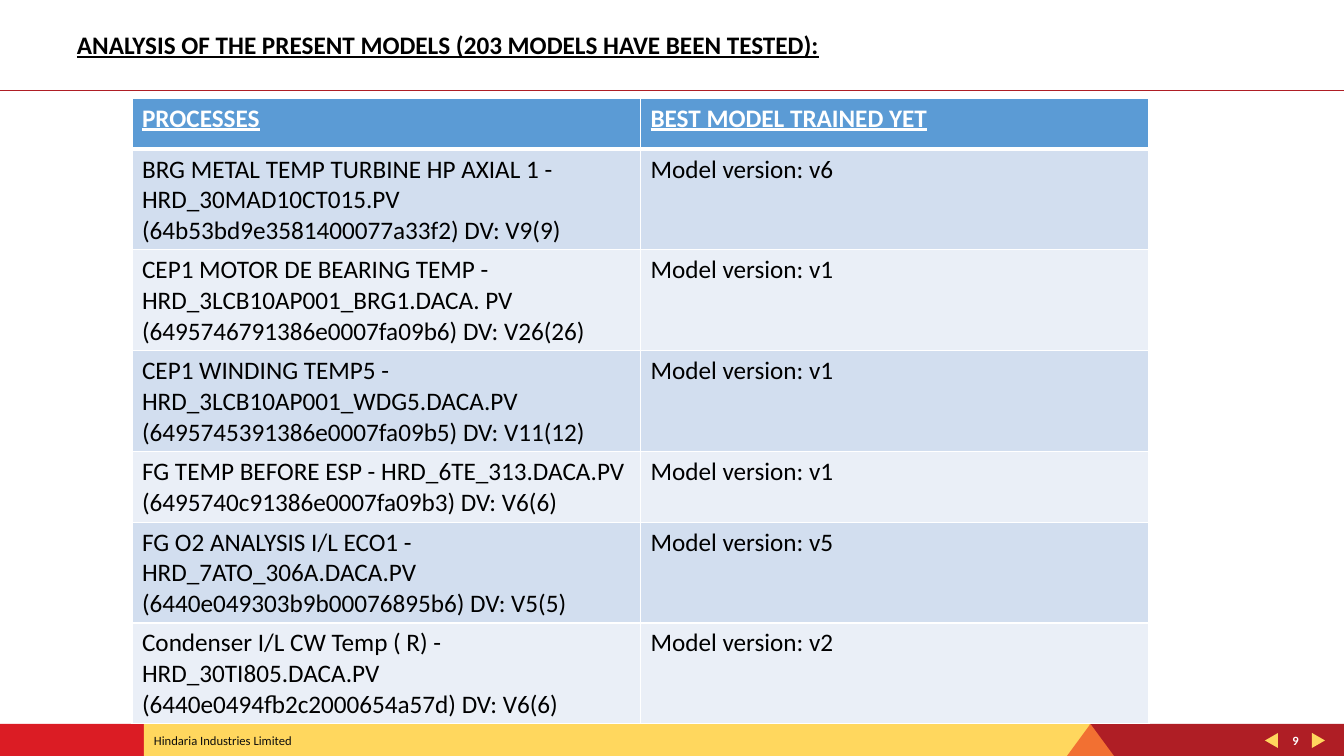
from lxml import etree
from pptx import Presentation, util as u
from pptx.dml.color import RGBColor
from pptx.enum import shapes, text
from pptx.oxml.ns import qn

WIDTH, HEIGHT = 1344, 756
SCALE = 12192000 / WIDTH
FOOTER_TOP = 724
FONT = "Calibri"
RED, YELLOW, DARK_RED, ORANGE = "DB1C24", "FFD75E", "AF1E25", "F27032"
WHITE, BLACK, HEADER_BLUE = "FFFFFF", "000000", "5B9BD5"
BAND_FILLS = ["D2DEEF", "EAEFF7"]

HEADINGS = ("PROCESSES", "BEST MODEL TRAINED YET")
# Process, best model, lines of text in the row
MODELS = [
    ("BRG METAL TEMP TURBINE HP AXIAL 1 - HRD_30MAD10CT015.PV "
     "(64b53bd9e3581400077a33f2) DV: V9(9)", "v6", 3),
    ("CEP1 MOTOR DE BEARING TEMP - HRD_3LCB10AP001_BRG1.DACA. PV "
     "(6495746791386e0007fa09b6) DV: V26(26)", "v1", 3),
    ("CEP1 WINDING TEMP5 - HRD_3LCB10AP001_WDG5.DACA.PV "
     "(6495745391386e0007fa09b5) DV: V11(12)", "v1", 3),
    ("FG TEMP BEFORE ESP - HRD_6TE_313.DACA.PV "
     "(6495740c91386e0007fa09b3) DV: V6(6)", "v1", 2),
    ("FG O2 ANALYSIS I/L ECO1 - HRD_7ATO_306A.DACA.PV "
     "(6440e049303b9b00076895b6) DV: V5(5)", "v5", 3),
    ("Condenser I/L CW Temp ( R) - HRD_30TI805.DACA.PV "
     "(6440e0494fb2c2000654a57d) DV: V6(6)", "v2", 3),
]


def px(length):
    return u.Emu(round(length * SCALE))


def color(value):
    return RGBColor.from_string(value)


def write(frame, content, size, ink, bold=False, underline=False):
    frame.text = content
    font = frame.paragraphs[0].runs[0].font
    font.name, font.size = FONT, u.Pt(size)
    font.bold, font.underline = bold, underline
    font.color.rgb = color(ink)


def add_block(slide, kind, box, fill, rotation=0):
    shape = slide.shapes.add_shape(kind, *map(px, box))
    shape.shadow.inherit = False
    shape.fill.solid()
    shape.fill.fore_color.rgb = color(fill)
    shape.line.fill.background()
    shape.rotation = rotation


def add_label(slide, box, content, size, ink, wrap=True, margin=None, **style):
    frame = slide.shapes.add_textbox(*map(px, box)).text_frame
    frame.word_wrap = wrap
    if margin is not None:
        frame.margin_left = frame.margin_right = px(margin)
        frame.margin_top = frame.margin_bottom = px(margin)
        frame.vertical_anchor = text.MSO_ANCHOR.MIDDLE
    write(frame, content, size, ink, **style)
    return frame


def add_header(slide, left, top, width, height):
    add_label(slide, (left + 67, top + 24, 862, 40),
              "ANALYSIS OF THE PRESENT MODELS (203 MODELS HAVE BEEN TESTED):",
              18, BLACK, bold=True, underline=True)
    rule = slide.shapes.add_connector(
        shapes.MSO_CONNECTOR.STRAIGHT, px(left + width), px(top + height),
        px(left), px(top + height))
    rule.line.color.rgb = color(DARK_RED)
    rule.line.width = u.Pt(0.5)
    etree.SubElement(rule._element.spPr, qn("a:effectLst"))


def add_footer(slide, left, top, width, height):
    rectangle = shapes.MSO_SHAPE.RECTANGLE
    triangle = shapes.MSO_SHAPE.ISOSCELES_TRIANGLE
    edges = [0, 144, 1090, width]
    for start, end, fill in zip(edges, edges[1:], (RED, YELLOW, DARK_RED)):
        add_block(slide, rectangle,
                  (left + start, top, end - start, height), fill)
    add_block(slide, triangle, (left + 1067, top, 47, height), ORANGE)
    for start, rotation in ((1311, 90), (1264, 270)):
        add_block(slide, triangle, (left + start, top + 10, 15, 13),
                  YELLOW, rotation)
    add_label(slide, (left + 144, top - 1, 170, 35),
              "Hindaria Industries Limited", 9, "0D0D0D", wrap=False, margin=10)
    number = add_label(slide, (left + 1278, top, 35, height), "9", 9, WHITE,
                       margin=0, bold=True)
    number.paragraphs[0].alignment = text.PP_ALIGN.CENTER


def set_borders(cell, top, bottom):
    """Draw white cell borders; top and bottom are widths in points."""
    properties = cell._tc.get_or_add_tcPr()
    for side, width in (("L", 1), ("R", 1), ("T", top), ("B", bottom)):
        line = etree.SubElement(properties, qn(f"a:ln{side}"),
                                w=str(u.Pt(width)))
        fill = etree.SubElement(line, qn("a:solidFill"))
        etree.SubElement(fill, qn("a:srgbClr"), val=WHITE)


def add_model_table(slide, left, top, width, height):
    rows = [HEADINGS] + [(process, f"Model version: {version}")
                         for process, version, _ in MODELS]
    heights = [51] + [10 + 30 * lines for _, _, lines in MODELS]
    table = slide.shapes.add_table(len(rows), 2, px(left), px(top),
                                   px(width), px(height)).table
    table.horz_banding = False
    for column in table.columns:
        column.width = px(width / 2)
    for index, values in enumerate(rows):
        table.rows[index].height = px(heights[index])
        is_header = index == 0
        for column, value in enumerate(values):
            cell = table.cell(index, column)
            set_borders(cell, 3 if index == 1 else 1, 3 if is_header else 1)
            cell.fill.solid()
            cell.fill.fore_color.rgb = color(
                HEADER_BLUE if is_header else BAND_FILLS[(index - 1) % 2])
            write(cell.text_frame, value, 18, WHITE if is_header else BLACK,
                  bold=is_header, underline=is_header)


def main():
    presentation = Presentation()
    presentation.slide_width, presentation.slide_height = px(WIDTH), px(HEIGHT)
    slide = presentation.slides.add_slide(presentation.slide_layouts[6])
    add_footer(slide, 0, FOOTER_TOP, WIDTH, HEIGHT - FOOTER_TOP)
    add_header(slide, 0, 0, WIDTH, 90)
    add_model_table(slide, 132, 98, 1017, FOOTER_TOP - 98)
    presentation.save("out.pptx")


if __name__ == "__main__":
    main()
